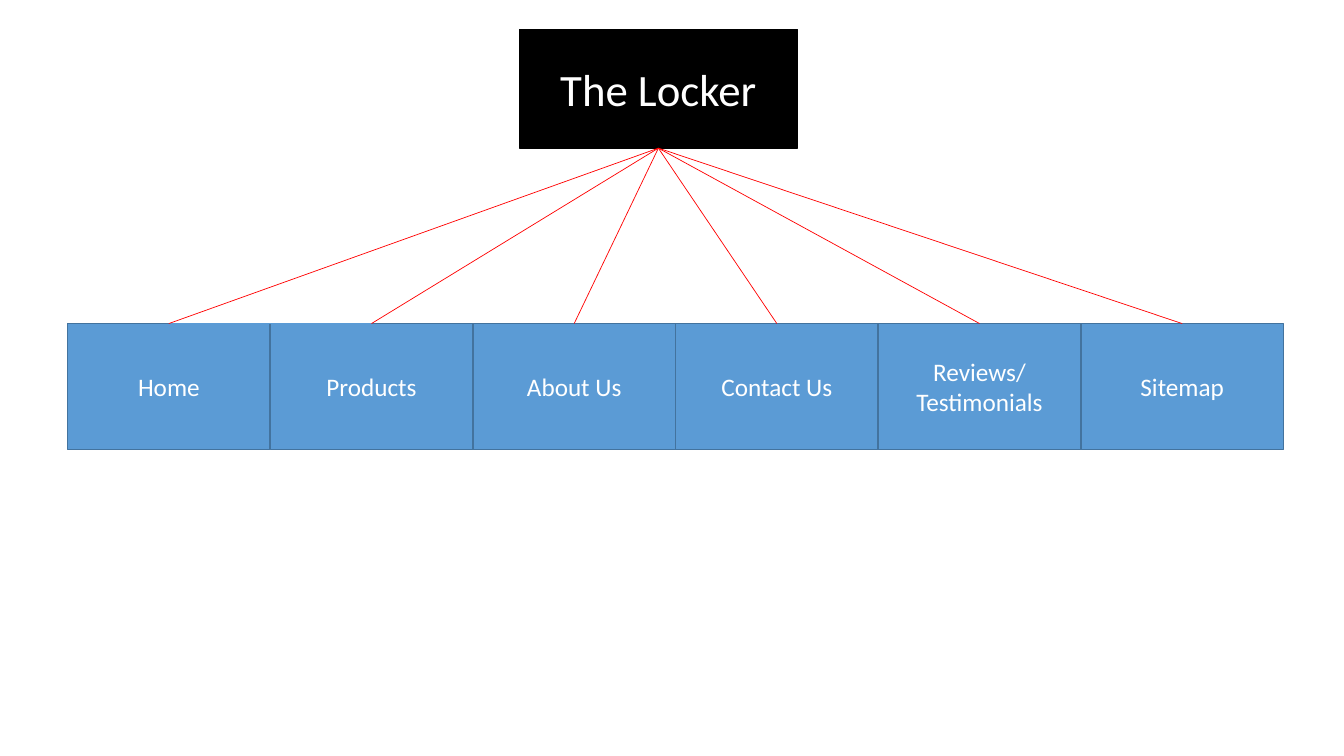
import pptx
import pptx.util
import pptx.dml.color
import pptx.enum.shapes
import pptx.enum.text
import pptx.oxml.ns
import lxml.etree

THEME = {
    "font": "Calibri",
    "text": "FFFFFF",
    "site": {"fill": "000000", "line": "000000", "size": 32},
    "page": {"fill": "5B9BD5", "line": "43739E", "size": 18},
    "branch": "FF0000",
    "sibling": "5B9BD5",
    "box_line": 1,
    "link_line": 0.5,
}
BOTTOM, TOP = 2, 0

deck = pptx.Presentation()
deck.slide_width = pptx.util.Inches(13.33)
deck.slide_height = pptx.util.Inches(7.5)
slide = deck.slides.add_slide(deck.slide_layouts[6])

# Grid of the page row
row_left, row_top = 0.67, 3.21
column_width, row_height = 2.01, 1.25


def add_box(label, left, top, width, height, style):
    box = slide.shapes.add_shape(
        pptx.enum.shapes.MSO_SHAPE.RECTANGLE,
        *(pptx.util.Inches(length) for length in (left, top, width, height)))
    box.shadow.inherit = False
    box.fill.solid()
    box.fill.fore_color.rgb = pptx.dml.color.RGBColor.from_string(style["fill"])
    box.line.color.rgb = pptx.dml.color.RGBColor.from_string(style["line"])
    box.line.width = pptx.util.Pt(THEME["box_line"])
    box.text_frame.text = label
    box.text_frame.vertical_anchor = pptx.enum.text.MSO_ANCHOR.MIDDLE
    font_format = {"name": THEME["font"], "size": pptx.util.Pt(style["size"])}
    for paragraph in box.text_frame.paragraphs:
        paragraph.alignment = pptx.enum.text.PP_ALIGN.CENTER
        for run in paragraph.runs:
            for attribute, value in font_format.items():
                setattr(run.font, attribute, value)
            run.font.color.rgb = pptx.dml.color.RGBColor.from_string(THEME["text"])
    return box


def add_link(start, start_side, end, end_side, color):
    link = slide.shapes.add_connector(
        pptx.enum.shapes.MSO_CONNECTOR.STRAIGHT, 0, 0, 0, 0)
    link.begin_connect(start, start_side)
    link.end_connect(end, end_side)
    link.line.color.rgb = pptx.dml.color.RGBColor.from_string(color)
    link.line.width = pptx.util.Pt(THEME["link_line"])
    properties = link._element.spPr
    lxml.etree.SubElement(properties, pptx.oxml.ns.qn("a:effectLst"))


# Pages of the site
page_names = ["Home", "Products", "About Us", "Contact Us",
              "Reviews/\nTestimonials", "Sitemap"]
pages = [
    add_box(name, row_left + column * column_width, row_top,
            column_width, row_height, THEME["page"])
    for column, name in enumerate(page_names)
]

# Site name
site = add_box("The Locker", 5.15, 0.29, 2.76, 1.18, THEME["site"])

# Line between the first two pages, then a branch to every page
home, products = pages[:2]
add_link(products, TOP, home, TOP, THEME["sibling"])
for page in pages:
    add_link(site, BOTTOM, page, TOP, THEME["branch"])

deck.save("out.pptx")
